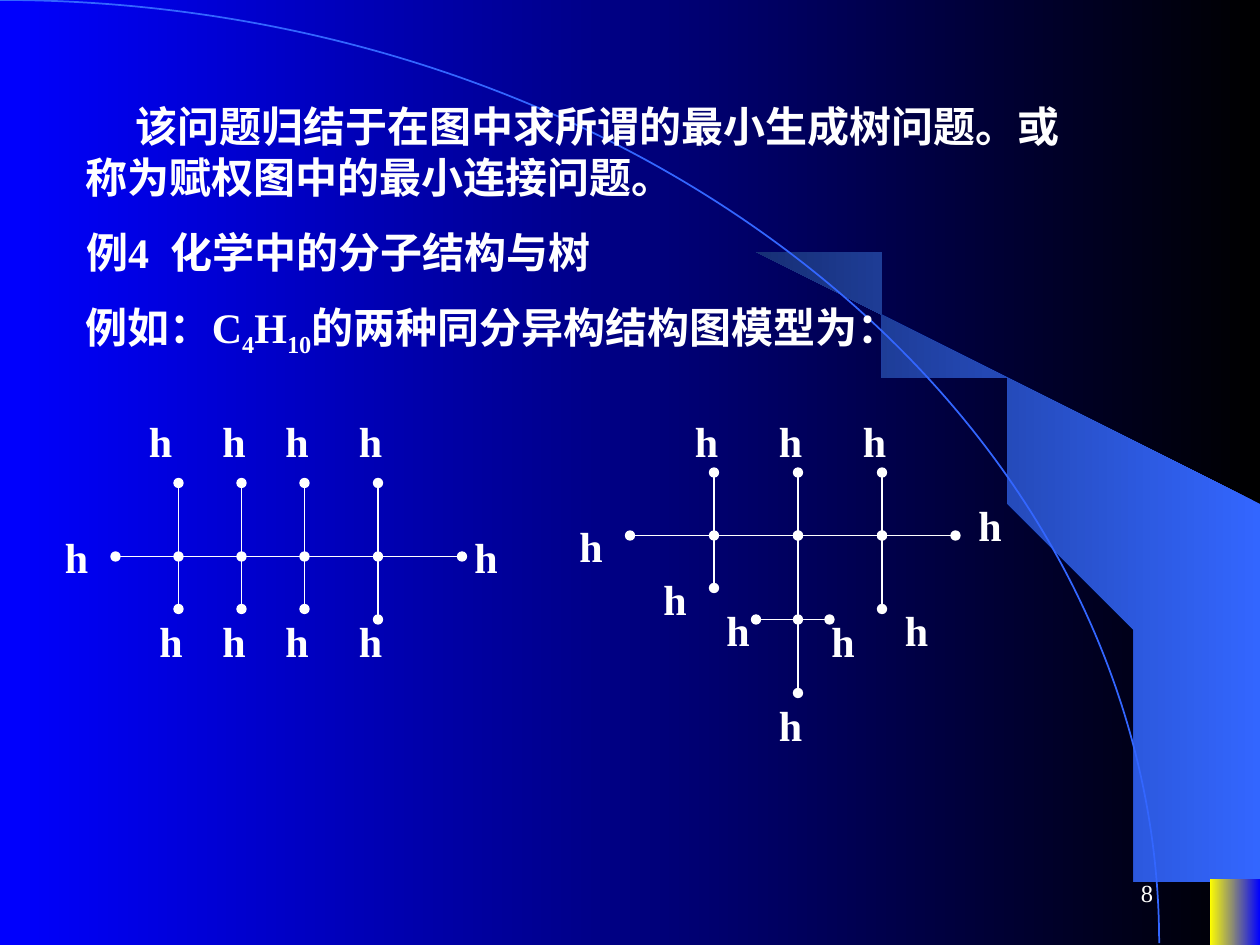
from lxml import etree
from pptx import Presentation
from pptx.dml.color import RGBColor
from pptx.enum.shapes import MSO_CONNECTOR, MSO_SHAPE
from pptx.enum.text import MSO_ANCHOR, PP_ALIGN
from pptx.oxml.ns import qn
from pptx.util import Inches, Pt

STRAIGHT = MSO_CONNECTOR.STRAIGHT
ARC, RECT = MSO_SHAPE.ARC, MSO_SHAPE.RECTANGLE
TOP, MIDDLE = MSO_ANCHOR.TOP, MSO_ANCHOR.MIDDLE
LEFT, RIGHT = PP_ALIGN.LEFT, PP_ALIGN.RIGHT
FONT = "Times New Roman"
COLORS = {"black": "000000", "blue": "0000FF", "sky": "3366FF",
          "navy": "172F75", "yellow": "FFFF00", "white": "FFFFFF"}

INTRO = "该问题归结于在图中求所谓的最小生成树问题。或称为赋权图中的最小连接问题。"
EXAMPLE = "例4  化学中的分子结构与树"
FORMULA = [("例如：C", False), ("4", True), ("H", False), ("10", True),
           ("的两种同分异构结构图模型为：", False)]
PAGE = "8"
ATOM = "h"

WING = [(9.2, 7.48), (9.99, 7.49), (9.99, 4.23), (5.89, 1.73), (6.24, 1.99),
        (6.53, 2.22), (6.85, 2.5), (7.16, 2.8), (7.62, 3.3), (8.03, 3.84),
        (8.32, 4.31), (8.58, 4.79), (8.78, 5.28), (8.93, 5.72), (9.03, 6.09),
        (9.13, 6.56), (9.17, 6.96)]

# Grid of 120 columns by 90 rows
COLS = 120
MOLECULES = [
    {"dotted": [(11, 53, 17, 53), (23, 53, 29, 53), (36, 53, 44, 53),
                (17, 46, 17, 58), (23, 46, 23, 58), (29, 46, 29, 58),
                (36, 46, 36, 59)],
     "plain": [(17, 53, 23, 53), (29, 53, 36, 53)],
     "atoms": [(13, 39), (20, 39), (26, 39), (33, 39), (14, 58), (20, 58),
               (26, 58), (33, 58), (5, 50), (44, 50)]},
    {"dotted": [(60, 51, 68, 51), (76, 51, 84, 51), (84, 51, 91, 51),
                (68, 45, 68, 56), (76, 51, 76, 45), (84, 45, 84, 58),
                (72, 59, 79, 59), (76, 59, 76, 66)],
     "plain": [(68, 51, 76, 51), (76, 51, 76, 59)],
     "atoms": [(54, 49), (65, 39), (73, 39), (81, 39), (92, 47), (62, 54),
               (73, 66), (85, 57), (68, 57), (78, 58)]},
]

prs = Presentation()
prs.slide_width, prs.slide_height = Inches(10), Inches(7.5)
slide = prs.slides.add_slide(prs.slide_layouts[5])
shapes = slide.shapes


def rgb(name):
    return RGBColor.from_string(COLORS[name])


def grid(n):
    return round(prs.slide_width * n / COLS)


def gradient(fill, start, end):
    fill.gradient()
    fill.gradient_angle = 180
    for stop, name in zip(fill.gradient_stops, (start, end)):
        stop.color.rgb = rgb(name)


def write(sp, runs, size=24, bold=True, anchor=TOP, align=LEFT):
    tf = sp.text_frame
    tf.word_wrap = True
    tf.vertical_anchor = anchor
    p = tf.paragraphs[0]
    p.alignment = align
    for text, is_sub in runs:
        r = p.add_run()
        r.text = text
        r.font.name, r.font.size, r.font.bold = FONT, Pt(size), bold
        r.font.color.rgb = rgb("white")
        if is_sub:
            r.font._element.set("baseline", "-25000")
    return p


def text_box(x, y, w, h, runs, **style):
    return write(shapes.add_textbox(grid(x), grid(y), grid(w), grid(h)), runs, **style)


def bond(x1, y1, x2, y2, dotted):
    cxn = shapes.add_connector(STRAIGHT, grid(x1), grid(y1), grid(x2), grid(y2))
    cxn.line.color.rgb = rgb("white")
    cxn.line.width = Pt(0.75)
    if dotted:
        ln = cxn.line._get_or_add_ln()
        for tag in ("a:headEnd", "a:tailEnd"):
            etree.SubElement(ln, qn(tag), type="oval")
    etree.SubElement(cxn._element.spPr, qn("a:effectLst"))


gradient(slide.background.fill, "black", "blue")

builder = shapes.build_freeform(*WING[0], scale=Inches(1))
builder.add_line_segments(WING[1:], close=True)
wing = builder.convert_to_shape()
gradient(wing.fill, "sky", "navy")
wing.line.fill.background()

arc = shapes.add_shape(ARC, Inches(-9.2), 0, Inches(18.4), Inches(14.97))
arc.fill.background()
arc.line.color.rgb = rgb("sky")
arc.line.width = Pt(1)

corner = shapes.add_shape(RECT, Inches(9.6), Inches(6.98), Inches(0.4), Inches(0.52))
gradient(corner.fill, "blue", "yellow")
corner.line.fill.background()

for sp in (wing, arc, corner):
    sp.shadow.inherit = False

intro = text_box(7, 9, 97, 10.8, [(INTRO, False)], anchor=MIDDLE)
intro._p.get_or_add_pPr().set("indent", str(Inches(0.39)))

title = shapes.title
title.left, title.top, title.width, title.height = map(grid, (7, 21, 98, 6))
write(title, [(EXAMPLE, False)], anchor=MIDDLE)

text_box(7, 27, 108, 7.8, FORMULA).line_spacing = 1.2

for molecule in MOLECULES:
    for kind in ("dotted", "plain"):
        for ends in molecule[kind]:
            bond(*ends, kind == "dotted")
    for x, y in molecule["atoms"]:
        text_box(x, y, 7.2, 6, [(ATOM, False)])

text_box(86, 82, 25, 6, [(PAGE, False)], size=14, bold=False, anchor=MIDDLE, align=RIGHT)

prs.save("out.pptx")
